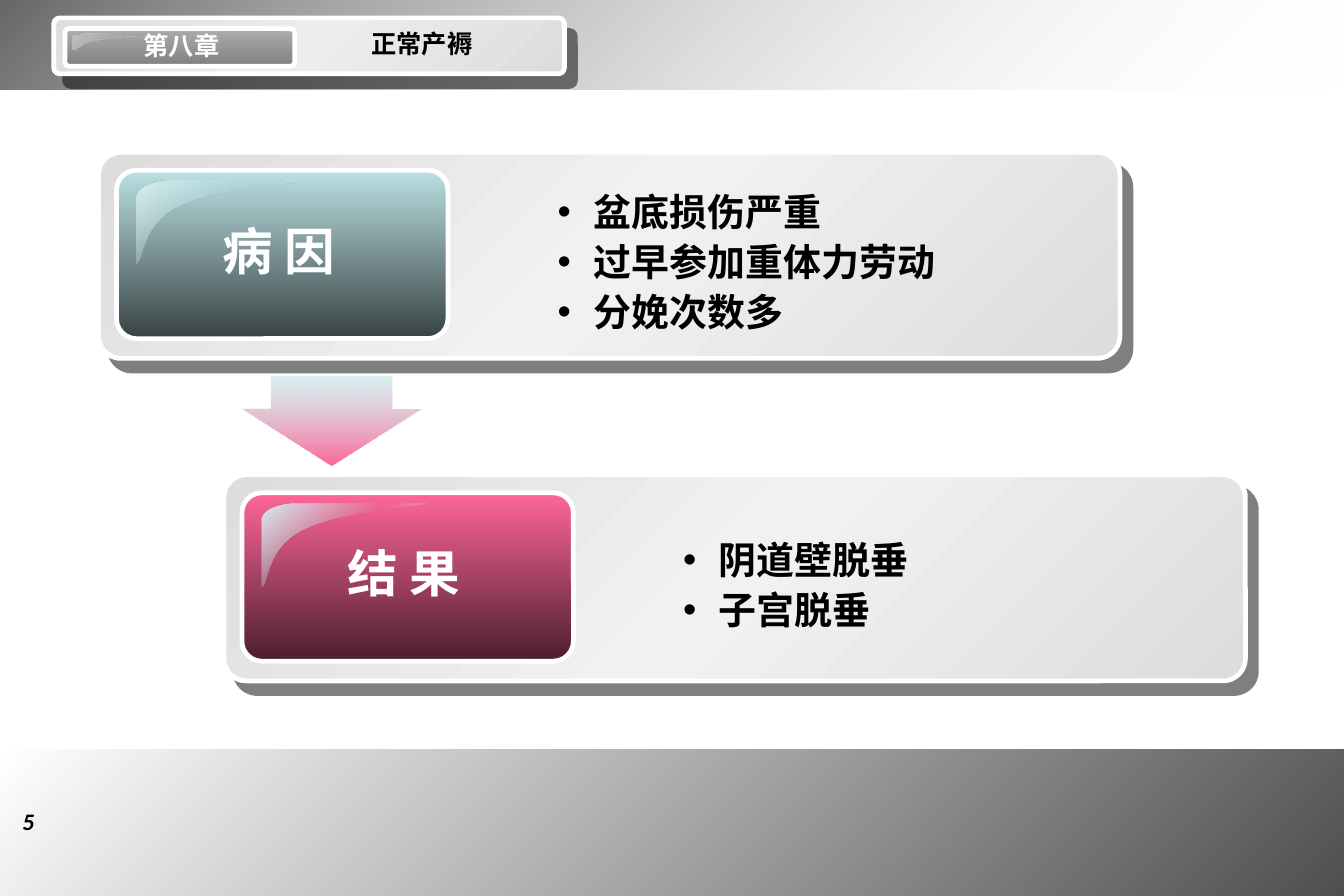
import pptx
import pptx.util
import pptx.dml.color
import pptx.enum.shapes
import pptx.enum.text
import pptx.oxml
import pptx.oxml.ns

Cm = pptx.util.Cm
Pt = pptx.util.Pt
PRESET = pptx.enum.shapes.MSO_SHAPE
CENTER = pptx.enum.text.PP_ALIGN.CENTER
CJK = "Noto Sans CJK SC"

CHAPTER = "第八章"
TOPIC = "正常产褥"
PAGE_NUMBER = "5"
SECTIONS = [
    ("病 因", ["盆底损伤严重", "过早参加重体力劳动", "分娩次数多"],
     [(0, "BBE0E3", 100), (100, "374243", 100)]),
    ("结 果", ["阴道壁脱垂", "子宫脱垂"],
     [(0, "FF6699", 100), (100, "4B1E2D", 100)]),
]

TOP_BAND = [(0, "000000", 60), (100, "FFFFFF", 0)]
BOTTOM_BAND = [(0, "000000", 0), (100, "000000", 70)]
HEADER_PANEL = [(0, "DDDDDD", 100), (50, "EDEDED", 100), (100, "DDDDDD", 100)]
SECTION_PANEL = [(0, "DDDDDD", 100), (50, "F1F1F1", 100), (100, "DDDDDD", 100)]
CHAPTER_KEY = [(0, "ADADAD", 100), (100, "808080", 100)]
CHAPTER_GLOSS = [(0, "808080", 0), (100, "C0C0C0", 100)]
SECTION_GLOSS = [(0, "D9EDEE", 100), (50, "BBE0E3", 0), (100, "D9EDEE", 100)]
ARROW = [(0, "BBE0E3", 51), (100, "FF6699", 100)]

GLOSS_START = (0.2, 0)
GLOSS_PARTS = [
    [(0.09, 0), (0, 0.09), (0, 0.2)],
    [(0, 0.98)],
    [(0.05, 1), (0.02, 0.51), (0.27, 0.3)],
    [(0.52, 0.07), (1, 0.05), (0.99, 0)],
]

FIRST_PANEL = (2.2, 3.4)
PANEL_STEP = (2.8, 7.2)
PANEL_SIZE = (22.8, 4.6)
BULLET_MIDDLE = 2.39
BULLET_LINE = 1.12


def color(target, value):
    target.rgb = pptx.dml.color.RGBColor.from_string(value)


def element(markup):
    return pptx.oxml.parse_xml(
        markup.replace(" ", " " + pptx.oxml.ns.nsdecls("a") + " ", 1))


def gradient(shape, stops, angle):
    shape.fill.gradient()
    old = shape._element.spPr.find(pptx.oxml.ns.qn("a:gradFill"))
    marks = "".join(
        f'<a:gs pos="{place * 1000}"><a:srgbClr val="{value}">'
        f'<a:alpha val="{opacity * 1000}"/></a:srgbClr></a:gs>'
        for place, value, opacity in stops)
    new = element(f'<a:gradFill rotWithShape="1"><a:gsLst>{marks}</a:gsLst>'
                  f'<a:lin ang="{angle * 60000}" scaled="0"/></a:gradFill>')
    old.getparent().replace(old, new)


def finish(shape, stops, angle):
    gradient(shape, stops, angle)
    shape.line.fill.background()
    shape.shadow.inherit = False


def block(slide, preset, place, stops, angle, adjust=()):
    shape = slide.shapes.add_shape(preset, *map(Cm, place))
    for index, value in enumerate(adjust):
        shape.adjustments[index] = value
    finish(shape, stops, angle)
    return shape


def rounded(slide, place, stops, angle, corner):
    shape = block(slide, PRESET.ROUNDED_RECTANGLE, place, stops, angle, [corner])
    shape.line.fill.solid()
    color(shape.line.color, "FFFFFF")
    shape.line.width = Pt(3)
    return shape


def panel(slide, place, stops):
    shape = rounded(slide, place, stops, 225, 0.109)
    effects = shape._element.spPr.find(pptx.oxml.ns.qn("a:effectLst"))
    effects.append(element(
        f'<a:outerShdw dist="{Pt(10.6)}" dir="{49 * 60000}" algn="ctr" '
        'rotWithShape="0"><a:srgbClr val="000000"><a:alpha val="50000"/>'
        '</a:srgbClr></a:outerShdw>'))


def gloss(slide, left, top, width, height, stops):
    def spot(point):
        return Cm(left + point[0] * width), Cm(top + point[1] * height)

    builder = slide.shapes.build_freeform(*spot(GLOSS_START))
    builder.add_line_segments(
        [spot(point) for part in GLOSS_PARTS for point in part], close=True)
    shape = builder.convert_to_shape()
    segments = iter(list(shape._element.iter(pptx.oxml.ns.qn("a:lnTo"))))
    for part in GLOSS_PARTS:
        lines = [next(segments) for _ in part]
        if len(lines) == 3:
            curve = element('<a:cubicBezTo />')
            lines[0].addprevious(curve)
            for line in lines:
                curve.append(line[0])
                line.getparent().remove(line)
    finish(shape, stops, 225)


def text(slide, place, lines, size, face="Arial", ink="000000", align=None,
         italic=False, bullets=False, inset=0.25, inset_top=0.13):
    frame = slide.shapes.add_textbox(*map(Cm, place)).text_frame
    frame.word_wrap = True
    frame.margin_left = frame.margin_right = Cm(inset)
    frame.margin_top = frame.margin_bottom = Cm(inset_top)
    frame.text = "\n".join(lines)
    for paragraph in frame.paragraphs:
        paragraph.alignment = align
        if bullets:
            paragraph.line_spacing = 1.1
            props = paragraph._p.get_or_add_pPr()
            props.set("marL", str(Cm(0.8)))
            props.set("indent", str(-Cm(0.8)))
            props.append(element('<a:buFont typeface="Arial"/>'))
            props.append(element('<a:buChar char="•"/>'))
        for run in paragraph.runs:
            run.font.name = face
            run.font.size = Pt(size)
            run.font.bold = True
            run.font.italic = italic
            color(run.font.color, ink)
            run.font._element.find(pptx.oxml.ns.qn("a:latin")).addnext(
                element(f'<a:ea typeface="{CJK}"/>'))


def header(slide):
    panel(slide, (1.2, 0.4, 11.4, 1.25), HEADER_PANEL)
    rounded(slide, (1.45, 0.64, 5.13, 0.84), CHAPTER_KEY, 90, 0.119)
    gloss(slide, 1.63, 0.76, 2.95, 0.36, CHAPTER_GLOSS)
    text(slide, (1.53, 0.53, 5.05, 0.97), [CHAPTER], 16, ink="FFFFFF",
         align=CENTER, inset=0.28, inset_top=0.15)
    text(slide, (6.26, 0.48, 6.32, 0.97), [TOPIC], 16,
         align=CENTER, inset=0.28, inset_top=0.15)


def section(slide, left, top, caption, points, stops):
    panel(slide, (left, top, *PANEL_SIZE), SECTION_PANEL)
    rounded(slide, (left + 0.4, top + 0.4, 7.4, 3.76), stops, 90, 0.119)
    gloss(slide, left + 0.85, top + 0.64, 3.68, 1.88, SECTION_GLOSS)
    text(slide, (left + 1.84, top + 1.37, 4.36, 1.63), [caption], 32, CJK,
         "FFFFFF", CENTER)
    height = 0.25 + BULLET_LINE * len(points)
    text(slide, (left + 10, top + BULLET_MIDDLE - height / 2, 10, height),
         points, 24, bullets=True)


def main():
    """Build the slide on causes and results and save it."""
    deck = pptx.Presentation()
    deck.slide_width, deck.slide_height = Cm(30), Cm(20)
    slide = deck.slides.add_slide(deck.slide_layouts[6])
    block(slide, PRESET.RECTANGLE, (0, 0, 30, 2), TOP_BAND, 45)
    block(slide, PRESET.RECTANGLE, (0, 16.73, 30, 3.3), BOTTOM_BAND, 45)
    header(slide)
    for index, (caption, points, stops) in enumerate(SECTIONS):
        left, top = (start + index * step
                     for start, step in zip(FIRST_PANEL, PANEL_STEP))
        section(slide, left, top, caption, points, stops)
    block(slide, PRESET.DOWN_ARROW, (5.4, 8.4, 4, 2), ARROW, 90, [0.671, 0.641])
    text(slide, (0.22, 17.88, 7, 1.4), [PAGE_NUMBER], 15, "Calibri",
         italic=True, inset=0.28)
    deck.save("out.pptx")


if __name__ == "__main__":
    main()
